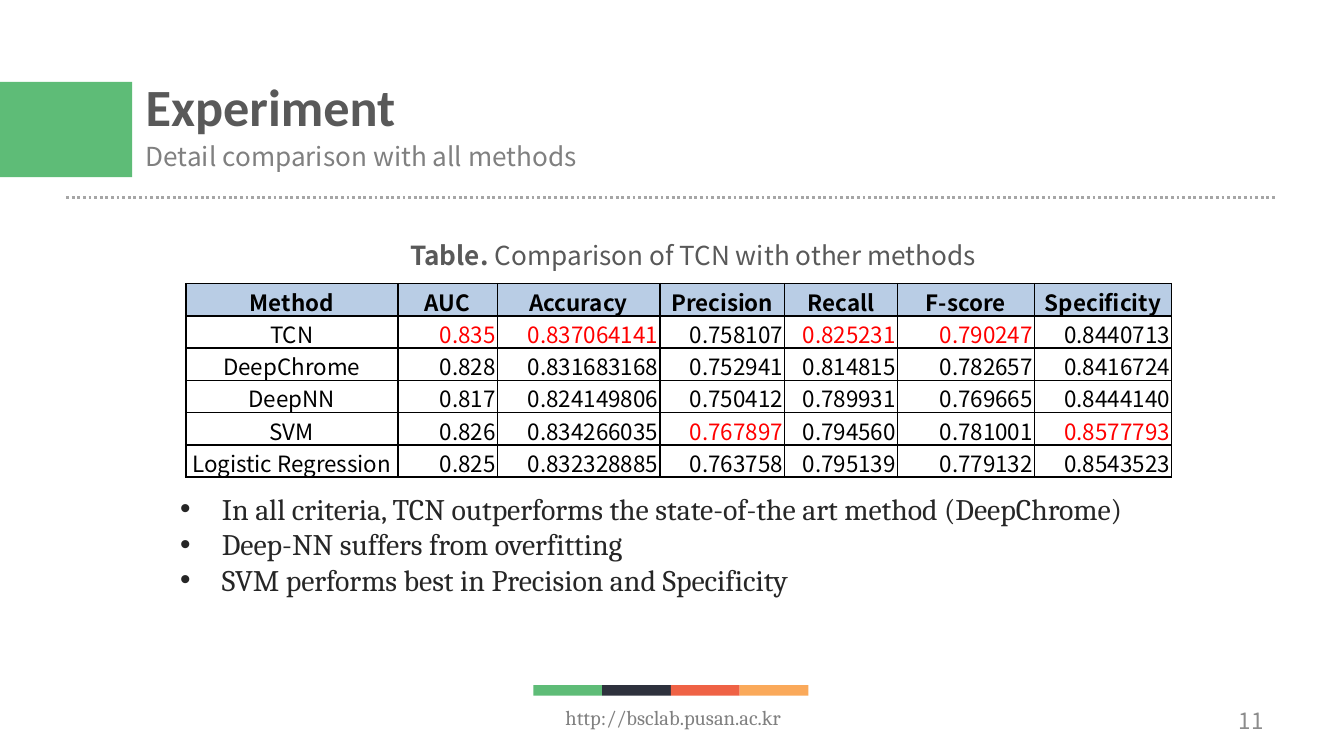
from lxml.etree import SubElement
from pptx import Presentation
from pptx.dml.color import RGBColor
from pptx.enum.dml import MSO_LINE
from pptx.enum.shapes import MSO_CONNECTOR, MSO_SHAPE
from pptx.enum.text import MSO_ANCHOR as Anchor, MSO_AUTO_SIZE as AutoSize, PP_ALIGN as Align
from pptx.oxml.ns import qn
from pptx.util import Cm, Pt

SANS, SERIF, HEADING = "Noto Sans CJK KR", "Cambria", "Calibri"
GREEN, GRAY, DARK_GRAY = "5EBC77", "808080", "595959"
BLACK, RED, HEADER_BLUE = "000000", "FF0000", "B9CDE5"

COLUMN_WIDTHS = [4.01, 1.88, 3.07, 2.36, 2.13, 2.59, 2.59]
HEADER = ["Method", "AUC", "Accuracy", "Precision", "Recall", "F-score", "Specificity"]
RESULTS = [
    ["TCN", "0.835", "0.837064141", "0.758107", "0.825231", "0.790247", "0.8440713"],
    ["DeepChrome", "0.828", "0.831683168", "0.752941", "0.814815", "0.782657", "0.8416724"],
    ["DeepNN", "0.817", "0.824149806", "0.750412", "0.789931", "0.769665", "0.8444140"],
    ["SVM", "0.826", "0.834266035", "0.767897", "0.794560", "0.781001", "0.8577793"],
    ["Logistic Regression", "0.825", "0.832328885", "0.763758", "0.795139", "0.779132", "0.8543523"],
]
FINDINGS = [
    "In all criteria, TCN outperforms the state-of-the art method (DeepChrome)",
    "Deep-NN suffers from overfitting",
    "SVM performs best in Precision and Specificity",
]


def color(hex_code):
    return RGBColor.from_string(hex_code)


def style_font(font, name, size, hex_code, bold=False):
    font.name, font.size, font.bold = name, Pt(size), bold
    font.color.rgb = color(hex_code)


def place(shape, left, top, width, height):
    shape.left, shape.top = Cm(left), Cm(top)
    shape.width, shape.height = Cm(width), Cm(height)


def add_block(slide, left, top, width, height, fill):
    block = slide.shapes.add_shape(MSO_SHAPE.RECTANGLE, Cm(left), Cm(top), Cm(width), Cm(height))
    block.shadow.inherit = False
    block.fill.solid()
    block.fill.fore_color.rgb = color(fill)
    block.line.fill.background()


def add_divider(slide, left, right, y):
    divider = slide.shapes.add_connector(MSO_CONNECTOR.STRAIGHT, Cm(left), Cm(y), Cm(right), Cm(y))
    divider.line.color.rgb = color("A6A6A6")
    divider.line.width = Pt(1.5)
    divider.line.dash_style = MSO_LINE.ROUND_DOT
    SubElement(divider._element.spPr, qn("a:effectLst"))


def add_label(slide, area, text, font, align=Align.LEFT, anchor=Anchor.MIDDLE):
    """Add a one-line text box; font is (name, size, colour). Return its paragraph."""
    box = slide.shapes.add_textbox(*map(Cm, area))
    box.text_frame.word_wrap = True
    box.text_frame.vertical_anchor = anchor
    para = box.text_frame.paragraphs[0]
    para.alignment = align
    para.add_run().text = text
    style_font(para.font, *font)
    return para


def fill_placeholder(holder, area, lines, font, anchor=Anchor.TOP, indent=0):
    """Place a placeholder and write its lines; a positive indent keeps the bullets."""
    place(holder, *area)
    frame = holder.text_frame
    frame.text = "\n".join(lines)
    frame.auto_size = AutoSize.NONE
    frame.word_wrap = True
    frame.vertical_anchor = anchor
    for para in frame.paragraphs:
        para.alignment = Align.LEFT
        para.space_before = Pt(0)
        style_font(para.font, *font)
        properties = para._p.get_or_add_pPr()
        properties.set("marL", str(Cm(indent)))
        properties.set("indent", str(-Cm(indent)))
        if not indent:
            properties.insert_element_before(
                properties.makeelement(qn("a:buNone")), "a:tabLst", "a:defRPr", "a:extLst")


def add_borders(cell):
    properties = cell._tc.get_or_add_tcPr()
    for side in ("a:lnL", "a:lnR", "a:lnT", "a:lnB"):
        border = SubElement(properties, qn(side), w=str(Pt(1)))
        SubElement(SubElement(border, qn("a:solidFill")), qn("a:srgbClr"), val=BLACK)


def write_cell(cell, text, align, hex_code=BLACK, fill=None):
    """Write a bordered cell; a filled cell is a header and therefore bold."""
    cell.margin_left = cell.margin_right = cell.margin_top = Cm(0.03)
    cell.margin_bottom = 0
    cell.vertical_anchor = Anchor.BOTTOM
    add_borders(cell)
    if fill:
        cell.fill.solid()
        cell.fill.fore_color.rgb = color(fill)
    else:
        cell.fill.background()
    para = cell.text_frame.paragraphs[0]
    para.alignment = align
    para.add_run().text = text
    style_font(para.font, SANS, 12, hex_code, bold=bool(fill))


def add_results_table(slide, left, top, row_height):
    """Add the score table, with the best score of each column in red."""
    row_count = len(RESULTS) + 1
    table = slide.shapes.add_table(row_count, len(HEADER), Cm(left), Cm(top),
                                   Cm(sum(COLUMN_WIDTHS)), Cm(row_height * row_count)).table
    table.horz_banding = False
    for column, width in zip(table.columns, COLUMN_WIDTHS):
        column.width = Cm(width)
    for index, (heading, *values) in enumerate(zip(HEADER, *RESULTS)):
        write_cell(table.cell(0, index), heading, Align.CENTER, fill=HEADER_BLUE)
        best = max(values, key=float) if index else None
        for row, value in enumerate(values, start=1):
            write_cell(table.cell(row, index), value,
                       Align.RIGHT if index else Align.CENTER,
                       RED if value == best else BLACK)


def main():
    deck = Presentation()
    deck.slide_width, deck.slide_height = Cm(25.4), Cm(14.29)
    slide = deck.slides.add_slide(deck.slide_layouts.get_by_name("Two Content"))
    title, subtitle, findings = slide.placeholders

    add_block(slide, -0.1, 1.55, 2.6, 1.8, GREEN)
    add_divider(slide, 1.25, 24.1, 3.74)
    for index, fill in enumerate([GREEN, "2E313D", "EF6245", "FAA95A"]):
        add_block(slide, 10.08 + 1.3 * index, 12.95, 1.3, 0.2, fill)

    fill_placeholder(title, (2.5, 1.55, 21.64, 0.9), ["Experiment"],
                     (HEADING, 28, DARK_GRAY, True), Anchor.MIDDLE)
    fill_placeholder(subtitle, (2.5, 2.53, 21.6, 0.7),
                     ["Detail comparison with all methods"], (SANS, 14, GRAY))
    fill_placeholder(findings, (3.15, 9.14, 19.33, 3.07), FINDINGS,
                     (SERIF, 16, "262626"), indent=0.79)

    caption = add_label(slide, (7.5, 4.4, 11.35, 1.62), "Table. ",
                        (SANS, 14, DARK_GRAY), anchor=Anchor.TOP)
    caption.runs[0].font.bold = True
    caption.add_run().text = "Comparison of TCN with other methods"
    add_results_table(slide, 3.51, 5.36, 0.61)

    add_label(slide, (8.7, 13.18, 8.05, 0.76), "http://bsclab.pusan.ac.kr",
              (SERIF, 11, GRAY), Align.CENTER)
    add_label(slide, (18.2, 13.24, 5.93, 0.76), "11", (SANS, 12, "8C8C8C"), Align.RIGHT)
    deck.save("out.pptx")


if __name__ == "__main__":
    main()
